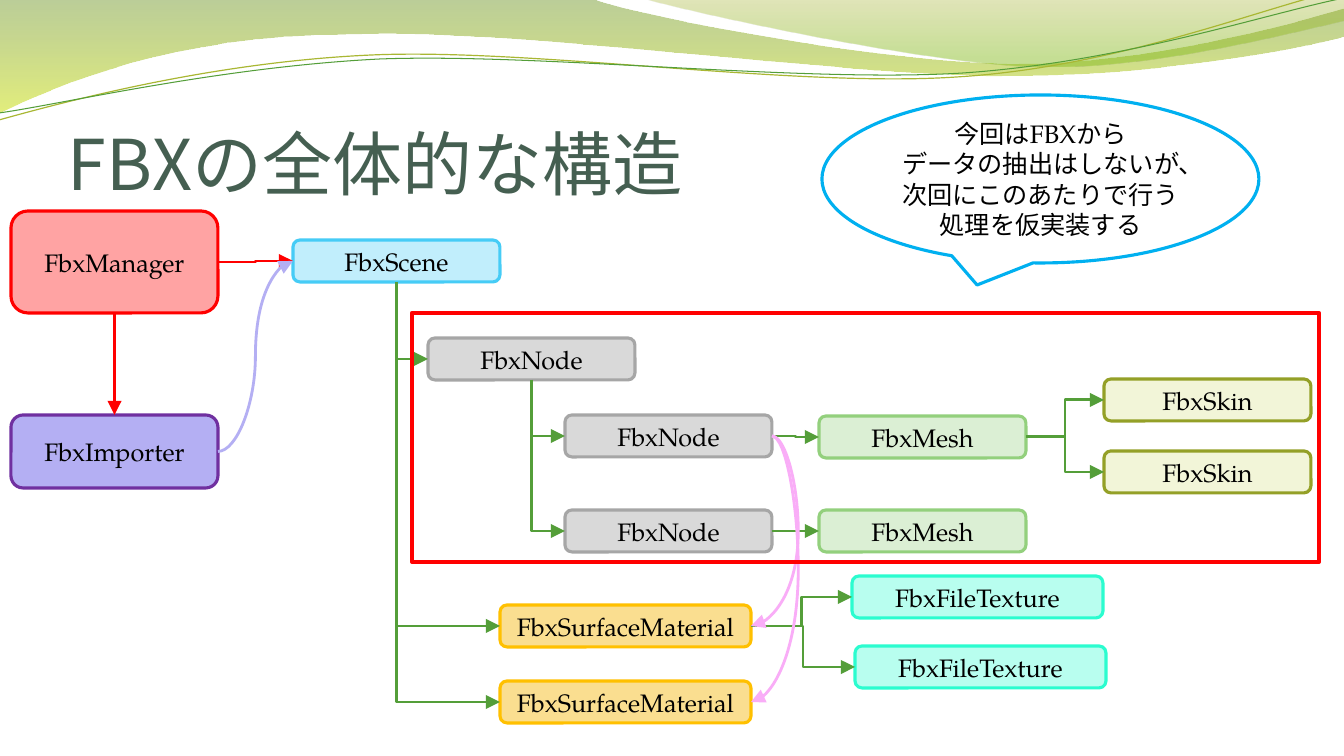
import pptx
import pptx.util
import pptx.dml.color
import pptx.enum.dml
import pptx.enum.shapes
import pptx.enum.text
import pptx.oxml
import pptx.oxml.ns

EMU_PER_PX = 914400 / 100.8
SHAPES = pptx.enum.shapes.MSO_SHAPE
CONNECTORS = pptx.enum.shapes.MSO_CONNECTOR
ANCHORS = pptx.enum.text.MSO_ANCHOR
ALIGNS = pptx.enum.text.PP_ALIGN
BODY_FONT, CJK_FONT = "TeX Gyre Pagella", "Noto Sans CJK JP"
TOP, LEFT, BOTTOM, RIGHT = range(4)
GREEN, RED, LILAC, PINK = "549E39", "FF0000", "B4AFF3", "F9ADF7"
NODE_SIZE, WIDE_SIZE = (207, 42), (251, 42)

# kind: fill, outline
STYLES = {
    "FbxManager": ("FFA3A3", RED),
    "FbxImporter": (LILAC, "7030A0"),
    "FbxScene": ("C1EEFC", "46CCF6"),
    "FbxNode": ("D9D9D9", "A6A6A6"),
    "FbxMesh": ("DBEFD4", "93D07D"),
    "FbxSkin": ("F2F5D8", "94A027"),
    "FbxSurfaceMaterial": ("FADE90", "FFC000"),
    "FbxFileTexture": ("B8FEEF", "2BFCCF"),
}


def px(length):
    return pptx.util.Emu(round(length * EMU_PER_PX))


def color(value):
    return pptx.dml.color.RGBColor.from_string(value)


def add_xml(parent, tag, **attributes):
    child = pptx.oxml.parse_xml(f'<a:{tag} {pptx.oxml.ns.nsdecls("a")}/>')
    for name, value in attributes.items():
        child.set(name, str(value))
    parent.append(child)
    return child


def set_outline(line, value, points):
    line.color.rgb = color(value)
    line.width = pptx.util.Pt(points)


def write(shape, text, size, font, value, align):
    shape.text_frame.text = text
    for para in shape.text_frame.paragraphs:
        para.alignment = align
        for span in para.runs:
            span.font.size = pptx.util.Pt(size)
            span.font.name = font
            span.font.color.rgb = color(value)
            add_xml(span.font._element, "ea", typeface=CJK_FONT)


def add_box(page, kind, box, fill, outline, points=2.25, text=""):
    shape = page.shapes.add_shape(kind, *map(px, box))
    shape.shadow.inherit = False
    if fill:
        shape.fill.solid()
        shape.fill.fore_color.rgb = color(fill)
    else:
        shape.fill.background()
    set_outline(shape.line, outline, points)
    shape.text_frame.vertical_anchor = ANCHORS.MIDDLE
    if text:
        write(shape, text, 18, BODY_FONT, "000000", ALIGNS.CENTER)
    return shape


def draw_outline(page, start, segments, close):
    """Draw segments of one point (a line) or three points (a cubic curve)."""
    points = [(px(x), px(y)) for segment in segments
              for x, y in zip(segment[::2], segment[1::2])]
    builder = page.shapes.build_freeform(*map(px, start))
    builder.add_line_segments(points, close=close)
    shape = builder.convert_to_shape()
    shape.shadow.inherit = False
    steps = iter(list(shape._element.iter(pptx.oxml.ns.qn("a:lnTo"))))
    for segment in segments:
        step = next(steps)
        if len(segment) == 6:
            curve = add_xml(step.getparent(), "cubicBezTo")
            step.addprevious(curve)
            for corner in (step, next(steps), next(steps)):
                curve.append(corner[0])
                corner.getparent().remove(corner)
    return shape


def add_wave(page, start, segments, stops):
    shape = draw_outline(page, start, segments, True)
    shape.line.fill.background()
    shape.fill.gradient()
    shape.fill.gradient_angle = 270
    for stop, (position, value, opacity) in zip(shape.fill.gradient_stops, stops):
        stop.position = position
        stop.color.rgb = color(value)
        add_xml(stop._gs[0], "alpha", val=opacity * 1000)


def add_strand(page, start, segments, value, width):
    shape = draw_outline(page, start, segments, False)
    shape.fill.background()
    set_outline(shape.line, value, width)


def add_header(page):
    add_wave(page, (0, 0),
             [(592, -1), (639, 17, 891, 64, 1019, 64), (1146, 64, 1287, 26, 1344, 9),
              (1345, 37), (1322, 44, 1168, 77, 1002, 76), (836, 76, 513, 28, 346, 35),
              (173, 36, 61, 84, -2, 114)],
             [(0, "69921C", 45), (1, "CCE10F", 55)])
    add_wave(page, (643, -1),
             [(684, 11, 916, 62, 1033, 66), (1149, 70, 1292, 32, 1344, 21), (1344, 0)],
             [(0, "9BAA1A", 30), (0.8, "81BA16", 45)])
    add_strand(page, (-1, 120),
               [(64, 102, 212, 62, 372, 55), (531, 48, 795, 88, 957, 77),
                (1119, 67, 1261, 8, 1341, -10)], "A9B733", 0.85)
    add_strand(page, (-1, 113),
               [(63, 104, 220, 67, 380, 59), (541, 53, 802, 83, 963, 73),
                (1124, 62, 1265, 14, 1344, -2)], GREEN, 0.75)


def add_title(page, box):
    title = page.shapes.add_textbox(*map(px, box))
    frame = title.text_frame
    frame.word_wrap = True
    frame.vertical_anchor = ANCHORS.BOTTOM
    frame.margin_left = frame.margin_right = frame.margin_bottom = 0
    frame.margin_top = px(5)
    write(title, "FBXの全体的な構造", 50, CJK_FONT, "455F51", ALIGNS.LEFT)
    frame.paragraphs[0].line_spacing = 0.8


def link(page, source, target, value=GREEN, kind=CONNECTORS.ELBOW, sites=(RIGHT, LEFT)):
    line = page.shapes.add_connector(kind, 0, 0, 0, 0)
    line.begin_connect(source, sites[0])
    line.end_connect(target, sites[1])
    set_outline(line.line, value, 2)
    add_xml(line.line._get_or_add_ln(), "tailEnd", type="triangle", w="lg", len="lg")
    add_xml(line._element.spPr, "effectLst")
    return line


def branch(page, parent, child):
    """Link down from the parent's bottom, then right into the child."""
    line = link(page, parent, child, sites=(BOTTOM, LEFT))
    center_x, center_y = line.left + line.width // 2, line.top + line.height // 2
    line.width, line.height = line.height, line.width
    line.left, line.top = center_x - line.width // 2, center_y - line.height // 2
    properties = line._element.spPr
    properties.xfrm.set("rot", str(270 * 60000))
    properties.xfrm.set("flipH", "1")
    properties.prstGeom.set("prst", "bentConnector2")


def loop_right(page, source, target):
    """Link two right-hand sides with a curve that swings out to the right."""
    line = link(page, source, target, PINK, CONNECTORS.CURVE, (RIGHT, RIGHT))
    guides = line._element.spPr.prstGeom.get_or_add_avLst()
    add_xml(guides, "gd", name="adj1", fmla="val -125400")


def add_diagram(page, left, top):
    def node(name, x, y, size=NODE_SIZE):
        return add_box(page, SHAPES.ROUNDED_RECTANGLE, (left + x, top + y, *size),
                       *STYLES[name], text=name)

    manager = node("FbxManager", 0, 0, (207, 102))
    importer = node("FbxImporter", 0, 204, (207, 73))
    scene = node("FbxScene", 282, 29)
    root = node("FbxNode", 417, 127)
    children = [node("FbxNode", 554, y) for y in (204, 299)]
    meshes = [node("FbxMesh", 808, y) for y in (205, 299)]
    skins = [node("FbxSkin", 1093, y) for y in (168, 240)]
    materials = [node("FbxSurfaceMaterial", 489, y, WIDE_SIZE) for y in (394, 470)]
    textures = [node("FbxFileTexture", x, y, WIDE_SIZE) for x, y in ((841, 365), (844, 435))]

    for child in [root] + materials:
        branch(page, scene, child)
    for child in children:
        branch(page, root, child)
    link(page, manager, scene, RED)
    link(page, manager, importer, RED, CONNECTORS.STRAIGHT, (BOTTOM, TOP))
    link(page, importer, scene, LILAC, CONNECTORS.CURVE)
    for child, mesh in zip(children, meshes):
        link(page, child, mesh)
    for skin in skins:
        link(page, meshes[0], skin)
    for texture in textures:
        link(page, materials[0], texture)
    for material in reversed(materials):
        loop_right(page, children[0], material)
    add_box(page, SHAPES.RECTANGLE, (left + 401, top + 102, 907, 249), None, RED, 3)


def add_callout(page, box):
    callout = add_box(page, SHAPES.OVAL_CALLOUT, box, "FFFFFF", "00B0F0",
                      text="今回はFBXから\nデータの抽出はしないが、\n"
                           "次回にこのあたりで行う\n処理を仮実装する")
    callout.adjustments[0], callout.adjustments[1] = -0.145, 0.631


def main():
    deck = pptx.Presentation()
    deck.slide_width, deck.slide_height = px(1344), px(756)
    page = deck.slides.add_slide(deck.slide_layouts[6])
    add_header(page)
    add_title(page, (68, 78, 1210, 126))
    add_diagram(page, 11, 211)
    add_callout(page, (822, 95, 437, 168))
    deck.save("out.pptx")


if __name__ == "__main__":
    main()
